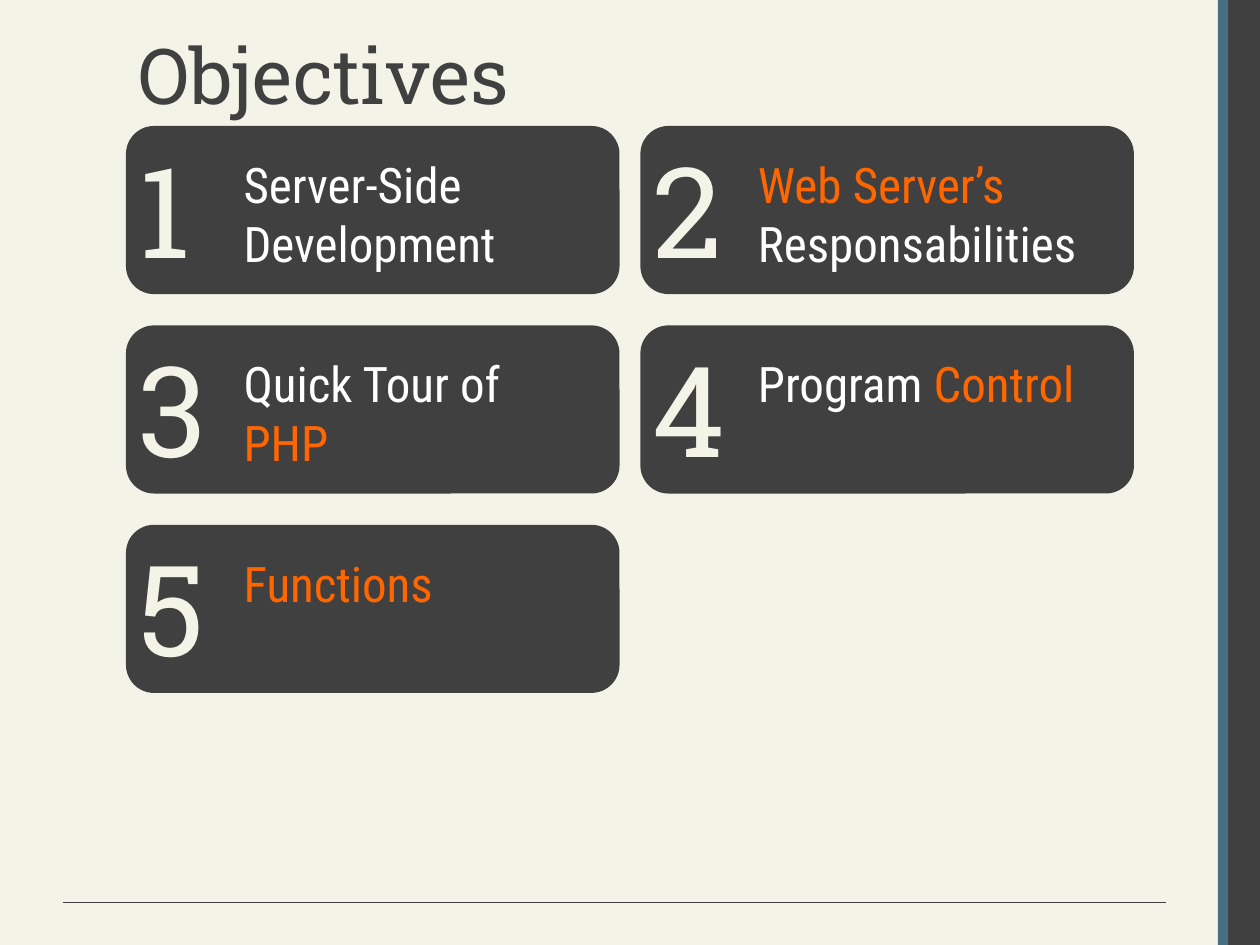
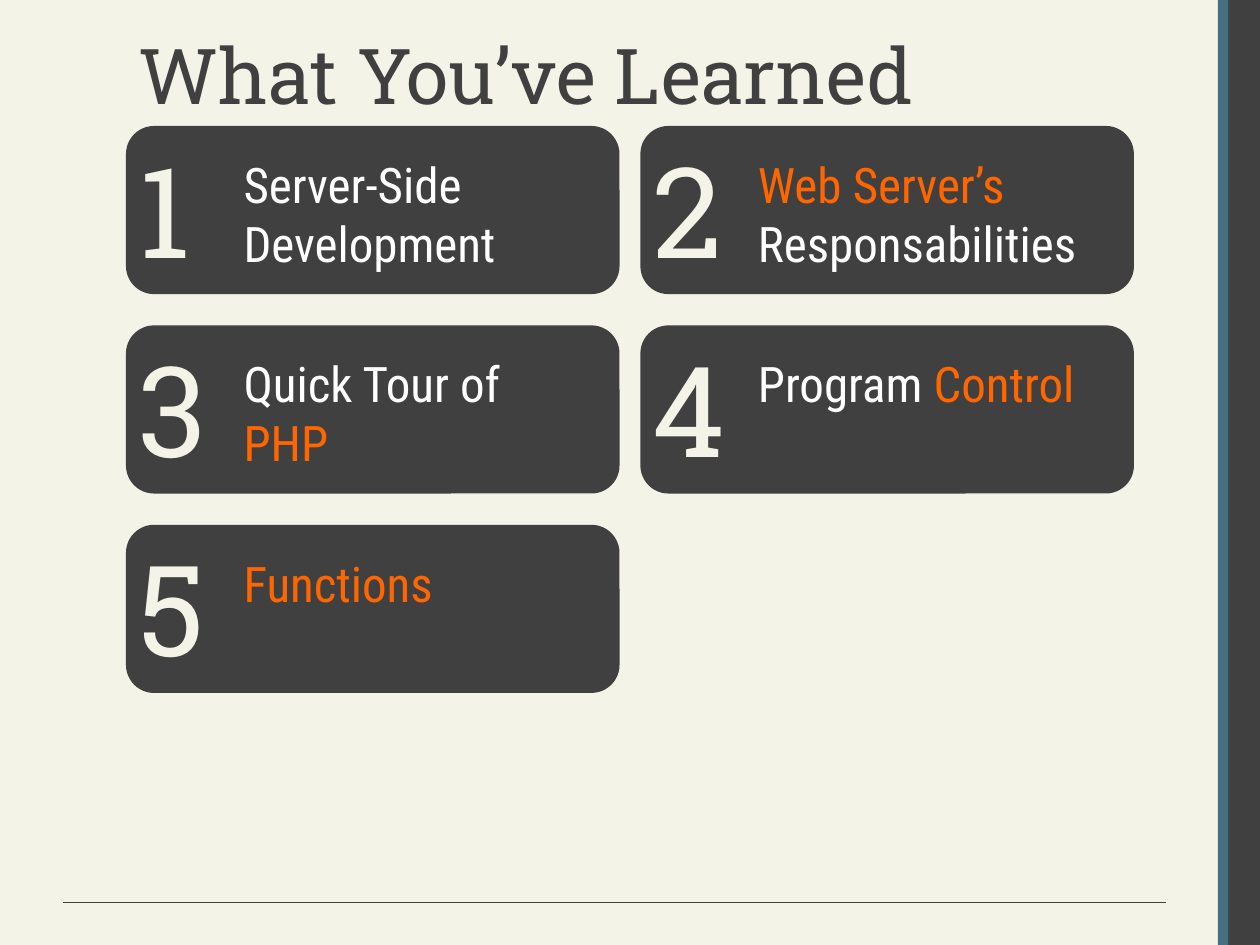
from collections import namedtuple
from dataclasses import dataclass

from lxml import etree
from pptx import Presentation
from pptx.dml.color import RGBColor
from pptx.enum import shapes, text
from pptx.oxml import ns
from pptx.util import Cm, Pt

Box = namedtuple("Box", "left top width height")
Objective = namedtuple("Objective", "spans width height")


@dataclass(frozen=True)
class Theme:
    paper: str = "F3F3E7"
    dark: str = "404040"
    blue: str = "467082"
    white: str = "FFFFFF"
    accent: str = "FF6600"
    slab: str = "Roboto Slab"
    condensed: str = "Roboto Condensed"
    title_size: float = 44
    number_size: float = 72
    label_size: float = 28
    rule_width: float = 0.75


THEME = Theme()
PAGE = Box(0, 0, 25.4, 19.05)
TITLE = Box(2.54, 0.43, 22.02, 2.97)
GRID = Box(2.54, 2.54, 20.32, 11.43)
COLUMNS = 2
CARD_WIDTH, CARD_HEIGHT = 9.95, 3.39
COLUMN_STEP = GRID.width - CARD_WIDTH
ROW_STEP = (GRID.height - CARD_HEIGHT) / 2

TITLES = ["Objectives", "What You’ve Learned"]
OBJECTIVES = [
    Objective([("Server-Side Development", THEME.white)], 7.41, 2.64),
    Objective([("Web Server’s ", THEME.accent),
               ("Responsabilities", THEME.white)], 8.04, 2.64),
    Objective([("Quick Tour of ", THEME.white), ("PHP", THEME.accent)], 7.2, 2.64),
    Objective([("Program ", THEME.white), ("Control", THEME.accent)], 7.2, 2.64),
    Objective([("Functions", THEME.accent)], 7.62, 1.45),
]


def lengths(box):
    return [Cm(value) for value in box]


def write(frame, spans, font_name, size, auto_size):
    """Fill a text frame with one left-aligned paragraph of (text, colour) spans."""
    frame_format = {
        "word_wrap": True,
        "auto_size": auto_size,
        "vertical_anchor": text.MSO_ANCHOR.TOP,
    }
    for name, value in frame_format.items():
        setattr(frame, name, value)
    para = frame.paragraphs[0]
    para.alignment = text.PP_ALIGN.LEFT
    for words, color in spans:
        span = para.add_run()
        span.text = words
        for name, value in {"name": font_name, "size": Pt(size)}.items():
            setattr(span.font, name, value)
        span.font.color.rgb = RGBColor.from_string(color)


def add_text(page, box, spans, font_name, size):
    frame = page.shapes.add_textbox(*lengths(box)).text_frame
    write(frame, spans, font_name, size, text.MSO_AUTO_SIZE.SHAPE_TO_FIT_TEXT)


def add_block(page, kind, box, color):
    block = page.shapes.add_shape(kind, *lengths(box))
    block.shadow.inherit = False
    block.fill.solid()
    block.fill.fore_color.rgb = RGBColor.from_string(color)
    block.line.fill.background()


def add_frame(page, box):
    """Draw the side bands and the footer rule."""
    edge = box.left + box.width
    for offset, width, color in [(0.64, 0.64, THEME.dark), (0.85, 0.21, THEME.blue)]:
        band = Box(edge - offset, box.top, width, box.height)
        add_block(page, shapes.MSO_SHAPE.RECTANGLE, band, color)
    rule_top = box.top + 18.2
    rule = page.shapes.add_connector(
        shapes.MSO_CONNECTOR.STRAIGHT,
        Cm(edge - 1.9), Cm(rule_top), Cm(box.left + 1.27), Cm(rule_top))
    rule.line.color.rgb = RGBColor.from_string(THEME.dark)
    rule.line.width = Pt(THEME.rule_width)
    etree.SubElement(rule._element.spPr, ns.qn("a:effectLst"))


def add_title(page, box, words):
    title = page.shapes.title
    for name, value in zip(box._fields, lengths(box)):
        setattr(title, name, value)
    write(title.text_frame, [(words, THEME.dark)], THEME.slab,
          THEME.title_size, text.MSO_AUTO_SIZE.NONE)


def add_card(page, box, number, objective):
    add_block(page, shapes.MSO_SHAPE.ROUNDED_RECTANGLE, box, THEME.dark)
    label = Box(box.left + 2.12, box.top + 0.45, objective.width, objective.height)
    add_text(page, label, objective.spans, THEME.condensed, THEME.label_size)
    add_text(page, Box(box.left, box.top, 1.9, 3.33), [(str(number), THEME.paper)],
             THEME.slab, THEME.number_size)


def add_cards(page, box, objectives):
    for index, objective in enumerate(objectives):
        row, column = divmod(index, COLUMNS)
        card = Box(box.left + column * COLUMN_STEP, box.top + row * ROW_STEP,
                   CARD_WIDTH, CARD_HEIGHT)
        add_card(page, card, index + 1, objective)


def add_objectives_page(deck, title):
    page = deck.slides.add_slide(deck.slide_layouts.get_by_name("Title Only"))
    add_frame(page, PAGE)
    add_title(page, TITLE, title)
    add_cards(page, GRID, OBJECTIVES)


def main():
    deck = Presentation()
    deck.slide_width, deck.slide_height = Cm(PAGE.width), Cm(PAGE.height)
    paper = deck.slide_master.background.fill
    paper.solid()
    paper.fore_color.rgb = RGBColor.from_string(THEME.paper)
    for title in TITLES:
        add_objectives_page(deck, title)
    deck.save("out.pptx")


if __name__ == "__main__":
    main()
